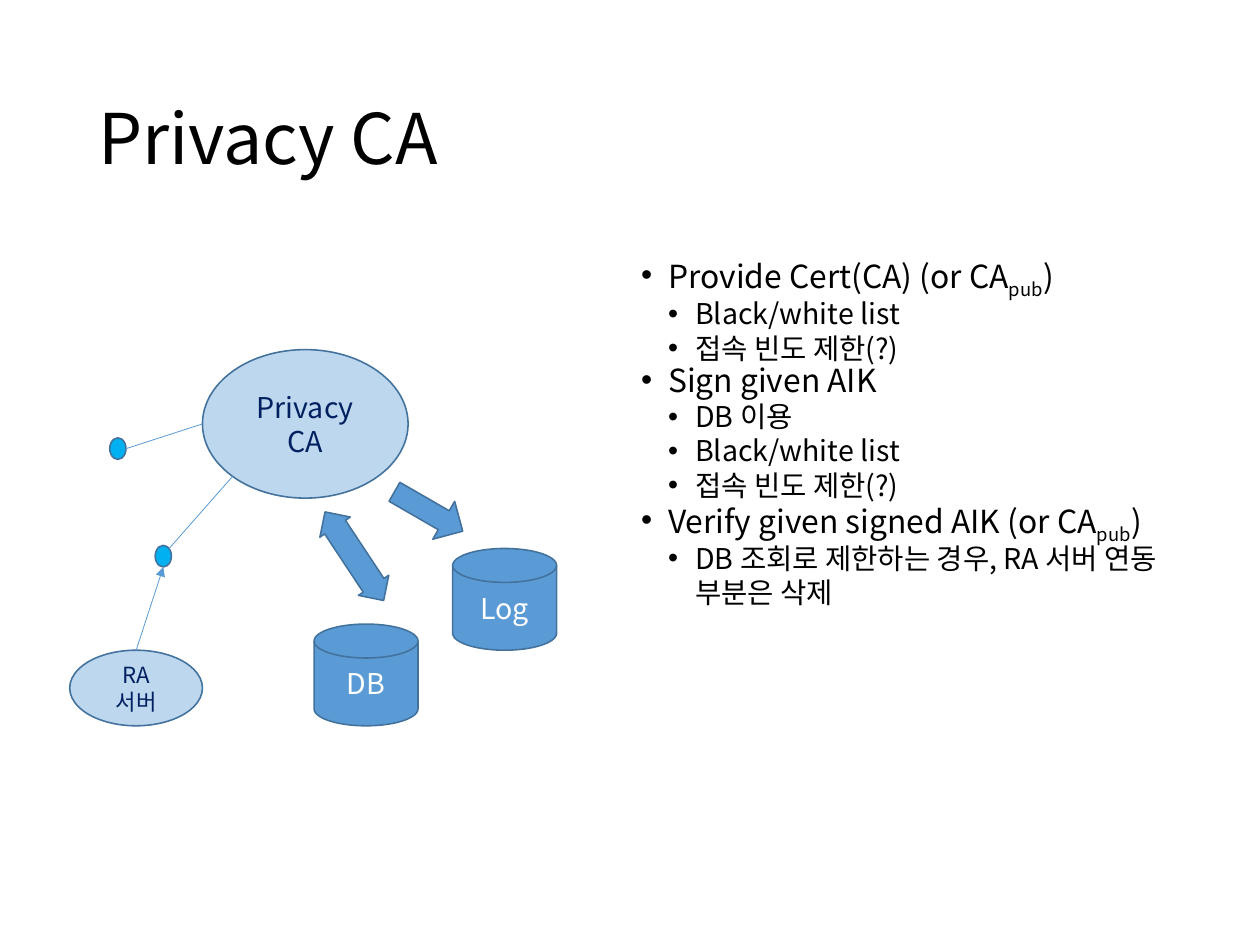
from math import sqrt
from lxml import etree
from pptx import Presentation
from pptx.dml.color import RGBColor
from pptx.enum.shapes import MSO_CONNECTOR, MSO_SHAPE
from pptx.enum.text import MSO_ANCHOR, PP_ALIGN
from pptx.oxml.ns import qn
from pptx.util import Cm, Pt

LINE = MSO_CONNECTOR.STRAIGHT
OVAL = MSO_SHAPE.OVAL
DISK = MSO_SHAPE.FLOWCHART_MAGNETIC_DISK
DOWN = MSO_SHAPE.DOWN_ARROW
BOTH = MSO_SHAPE.UP_DOWN_ARROW
MID = MSO_ANCHOR.MIDDLE
TOP = MSO_ANCHOR.TOP
LEFT = PP_ALIGN.LEFT
CENTER = PP_ALIGN.CENTER

FONT = "Noto Sans CJK KR"
BLUE, PALE, CYAN = "5B9BD5", "BDD7EE", "00B0F0"
EDGE, NAVY, BLACK, WHITE = "43729D", "002060", "000000", "FFFFFF"
STEP = 0.6
DIAG = 1 / sqrt(2)

POINTS = [
    (0, ["Provide Cert(CA) (or CA", "pub", ")"]),
    (1, ["Black/white list"]),
    (1, ["접속 빈도 제한(?)"]),
    (0, ["Sign given AIK"]),
    (1, ["DB 이용"]),
    (1, ["Black/white list"]),
    (1, ["접속 빈도 제한(?)"]),
    (0, ["Verify given signed AIK (or CA", "pub", ")"]),
    (1, ["DB 조회로 제한하는 경우, RA 서버 연동 부분은 삭제"]),
]


def tint(color, code):
    """Set a colour format from a hex string."""
    color.rgb = RGBColor.from_string(code)


def write(para, text, size=18, color=BLACK, align=LEFT, space=1.0, base=0):
    """Add one formatted run to a paragraph."""
    para.alignment = align
    para.line_spacing = space
    para.space_before = para.space_after = Pt(0)
    run = para.add_run()
    run.text = text
    run.font.size = Pt(size)
    run.font.name = FONT
    tint(run.font.color, color)
    props = run.font._element
    etree.SubElement(props, qn("a:ea")).set("typeface", FONT)
    if base:
        props.set("baseline", str(base * 1000))


def bullet(para, level):
    """Give a paragraph a hanging bullet at its level."""
    para.level = level
    props = para._p.get_or_add_pPr()
    props.set("marL", str(Cm(STEP * (level + 1))))
    props.set("indent", str(-Cm(STEP)))
    etree.SubElement(props, qn("a:buFont")).set("typeface", "Arial")
    etree.SubElement(props, qn("a:buChar")).set("char", "•")


def frame(slide, box, anchor):
    """Add a wrapping text box and return its text frame."""
    body = slide.shapes.add_textbox(*map(Cm, box)).text_frame
    body.word_wrap = True
    body.vertical_anchor = anchor
    return body


def title(slide, box):
    """Place the heading."""
    body = frame(slide, box, MID)
    write(body.paragraphs[0], "Privacy CA", size=44, space=0.9)


def points(slide, box):
    """Place the two-level bullet list."""
    body = frame(slide, box, TOP)
    for index, (level, parts) in enumerate(POINTS):
        para = body.add_paragraph() if index else body.paragraphs[0]
        for part in parts:
            write(para, part, size=18 if level else 20,
                  space=1.0 if level else 0.9,
                  base=-25 if part == "pub" else 0)
        bullet(para, level)


def node(slide, kind, box, fill, text="", turn=0, **style):
    """Add an outlined shape with an optional centred label."""
    shape = slide.shapes.add_shape(kind, *map(Cm, box))
    shape.shadow.inherit = False
    shape.rotation = turn
    shape.fill.solid()
    tint(shape.fill.fore_color, fill)
    tint(shape.line.color, EDGE)
    shape.line.width = Pt(1)
    if text:
        body = shape.text_frame
        body.word_wrap = True
        body.vertical_anchor = MID
        write(body.paragraphs[0], text, align=CENTER, **style)
    return shape


def site(shape, across, down):
    """Return a point of an oval, measured from its centre in radii."""
    return (int(shape.left + shape.width * (1 + across) / 2),
            int(shape.top + shape.height * (1 + down) / 2))


def link(slide, start, end):
    """Draw a thin line between two points."""
    line = slide.shapes.add_connector(LINE, *start, *end)
    tint(line.line.color, BLUE)
    line.line.width = Pt(0.5)
    etree.SubElement(line._element.spPr, qn("a:effectLst"))
    return line


def diagram(slide, box):
    """Place the CA, its ports, the server and the stores."""
    left, top = box

    def put(kind, x, y, wide, high, fill, text="", **style):
        """Add a node relative to the diagram's corner."""
        place = left + x, top + y, wide, high
        return node(slide, kind, place, fill, text, **style)

    main = put(OVAL, 2.95, 0, 4.57, 3.3, PALE, "Privacy CA", color=NAVY)
    put(DISK, 5.43, 6.1, 2.31, 2.26, BLUE, "DB", color=WHITE)
    upper, lower = [put(OVAL, x, y, 0.36, 0.48, CYAN)
                    for x, y in ((0.89, 1.96), (1.9, 4.35))]
    server = put(OVAL, 0, 6.68, 2.95, 1.68, PALE, "RA 서버",
                 size=14, color=NAVY)

    link(slide, site(upper, 1, 0), site(main, -1, 0))
    link(slide, site(main, -DIAG, DIAG), site(lower, DIAG, -DIAG))
    both = put(BOTH, 5.92, 3.41, 0.81, 2.36, BLUE, turn=326.5)
    both.adjustments[1] = 0.68
    call = link(slide, site(server, 0, -1), site(lower, 0, 1))
    call.begin_connect(server, 0)
    stroke = call.line._get_or_add_ln()
    etree.SubElement(stroke, qn("a:tailEnd")).set("type", "triangle")

    put(DISK, 8.51, 4.42, 2.31, 2.26, BLUE, "Log", color=WHITE)
    put(DOWN, 7.49, 2.72, 0.97, 1.75, BLUE, turn=300)


def main():
    """Build the slide and save it."""
    deck = Presentation()
    deck.slide_width, deck.slide_height = Cm(28), Cm(21)
    slide = deck.slides.add_slide(deck.slide_layouts[6])
    title(slide, (1.93, 1.12, 24.16, 4.06))
    points(slide, (14, 5.59, 12.09, 13.34))
    diagram(slide, (1.55, 7.77))
    deck.save("out.pptx")


if __name__ == "__main__":
    main()
